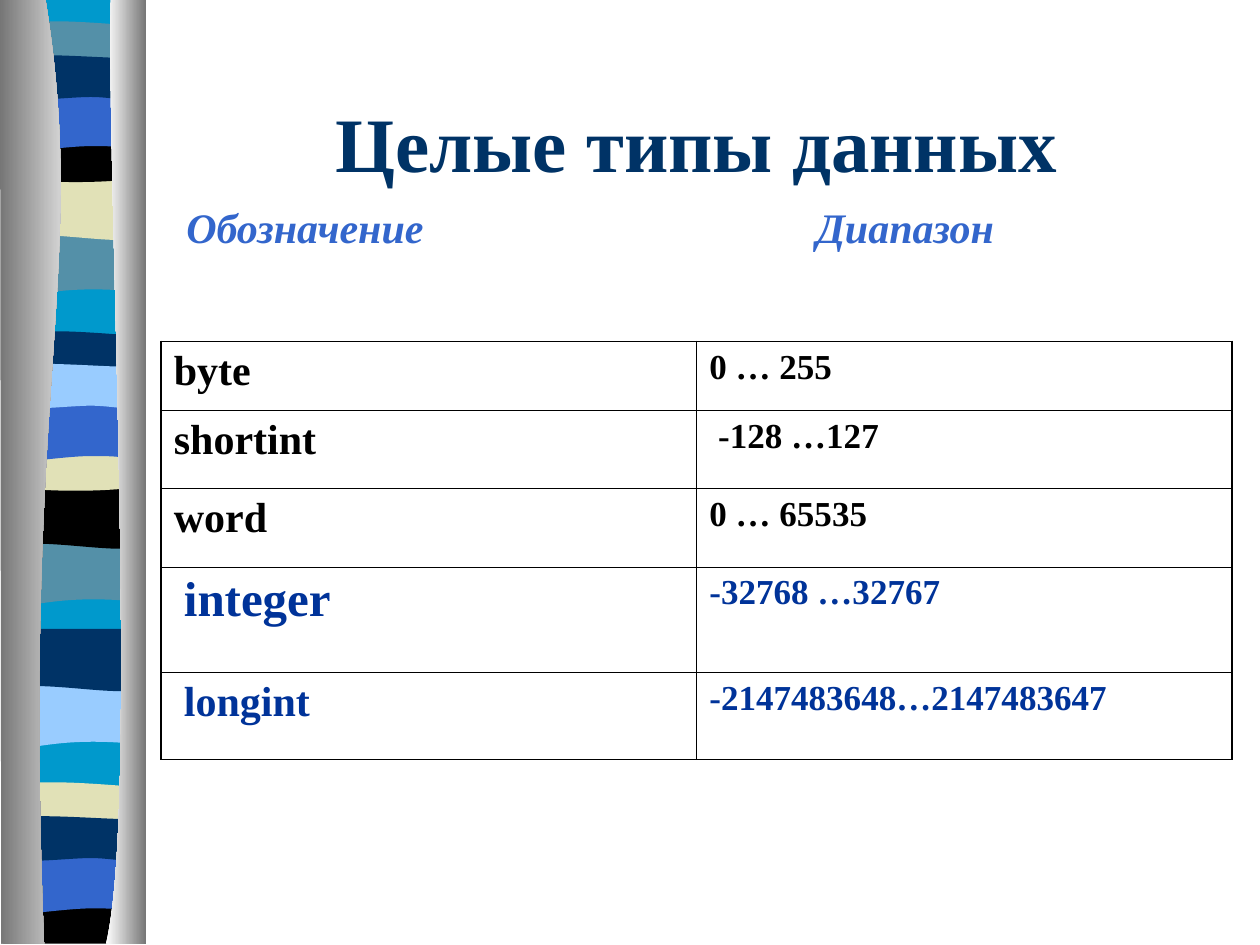
"""Build a slide on integer data types with a striped ribbon at its left edge."""
from dataclasses import dataclass

from lxml import etree
from pptx import Presentation
from pptx.dml.color import RGBColor
from pptx.enum.text import MSO_ANCHOR, MSO_AUTO_SIZE, PP_ALIGN
from pptx.oxml.ns import qn
from pptx.util import Inches, Pt

CENTER, LEFT = PP_ALIGN.CENTER, PP_ALIGN.LEFT
MIDDLE = MSO_ANCHOR.MIDDLE
NO_FIT = MSO_AUTO_SIZE.NONE


@dataclass(frozen=True)
class Theme:
    """Colours, type sizes and line widths."""

    font: str = "Times New Roman"
    navy: str = "003366"
    blue: str = "3366CC"
    accent: str = "003399"
    teal: str = "5490A8"
    cyan: str = "0099CC"
    sky: str = "99CCFF"
    sand: str = "E1E1B7"
    black: str = "000000"
    gray: str = "767676"
    white: str = "FFFFFF"
    title: int = 44
    large: int = 28
    body: int = 24
    small: int = 20
    inner_line: float = 0.45
    outer_line: float = 1.08


THEME = Theme()

BANDS = {
    "dip": [(1.14, 0), (1.14, 0.47), (0.39, 0.39, 0.24, 0.55, 0.06, 0.47), (0.06, 0)],
    "swell": [(1.14, 0), (1.14, 0.47), (0.96, 0.55, 0.39, 0.41, 0.06, 0.47), (0.06, 0)],
    "thin": [(1.14, 0), (1.14, 0.24), (0.96, 0.28, 0.24, 0.28, 0.06, 0.24), (0.06, 0),
             (0.12, -0.05, 0.29, -0.04, 0.47, -0.04), (0.65, -0.04, 1, -0.01, 1.14, 0)],
    "bowl": [(1.14, 0), (1.14, 0.32), (0.96, 0.38, 0.24, 0.38, 0.06, 0.32), (0.06, 0),
             (0.72, 0.05, 0.91, 0, 1.14, 0)],
    "arch": [(1.14, 0), (1.14, 0.47), (0.97, 0.42, 0.9, 0.42, 0.72, 0.42),
             (0.54, 0.42, 0.22, 0.47, 0.06, 0.47), (0.06, 0)],
    "wave": [(1.14, 0), (1.14, 0.31), (1.07, 0.36, 0.9, 0.31, 0.72, 0.31),
             (0.54, 0.31, 0.17, 0.36, 0.06, 0.31), (0.06, 0),
             (0.21, -0.05, 0.79, 0, 0.97, 0), (1.15, 0, 1.1, 0, 1.14, 0)],
    "foot": [(1.14, 0), (1.14, 0.37), (0.06, 0.37), (0.06, 0),
             (0.72, 0.05, 0.91, 0, 1.14, 0)],
    "base": [(1.14, 0), (1.14, 7.48), (0.06, 7.48), (0.06, 0)],
}
STRIPES = [
    ("base", -0.01, THEME.cyan),
    ("dip", 1.85, THEME.teal), ("swell", 1.41, THEME.sand), ("thin", 0.21, THEME.teal),
    ("bowl", 1.08, THEME.black), ("arch", 0.74, THEME.blue), ("wave", 0.46, THEME.navy),
    ("dip", 4.31, THEME.teal), ("swell", 3.86, THEME.black), ("thin", 2.67, THEME.navy),
    ("bowl", 3.53, THEME.sand), ("arch", 3.2, THEME.blue), ("wave", 2.91, THEME.sky),
    ("dip", 5.44, THEME.sky), ("swell", 4.99, THEME.navy), ("thin", 6.25, THEME.sand),
    ("foot", 7.12, THEME.black), ("arch", 6.79, THEME.blue), ("wave", 6.5, THEME.navy),
]
LEFT_EDGE = [(0.36, -0.01), (0.71, 2.16, 0.17, 2.96, 0.35, 7.49), (0.01, 7.49), (0, -0.01)]
RIGHT_EDGE = [(0.88, -0.01), (0.84, 1.25, 1.11, 6.46, 0.84, 7.49), (1.16, 7.49), (1.16, 0)]

ROWS = [
    (0.55, ("byte", THEME.body, 0.1), ("0 … 255", 0.1), THEME.black),
    (0.62, ("shortint", THEME.body, 0.1), ("-128 …127", 0.17), THEME.black),
    (0.62, ("word", THEME.body, 0.1), ("0 … 65535", 0.1), THEME.black),
    (0.84, ("integer", THEME.large, 0.18), ("-32768 …32767", 0.1), THEME.accent),
    (0.69, ("longint", THEME.body, 0.18), ("-2147483648…2147483647", 0.1), THEME.accent),
]


def write(tf, text, *, size, color, align=LEFT, italic=False, tab=None):
    """Put one formatted paragraph into a text frame."""
    p = tf.paragraphs[0]
    p.alignment = align
    if tab is not None:
        tabs = etree.SubElement(p._p.get_or_add_pPr(), qn("a:tabLst"))
        etree.SubElement(tabs, qn("a:tab"), pos=str(Inches(tab)), algn="l")
    r = p.add_run()
    r.text = text
    r.font.name = THEME.font
    r.font.size = Pt(size)
    r.font.bold = True
    r.font.italic = italic
    r.font.color.rgb = RGBColor.from_string(color)


def bend(sp, steps):
    """Join each triple of segments that belongs to a curve into one cubic segment."""
    segments = iter(list(sp._element.iter(qn("a:lnTo"))))
    for step in steps[1:]:
        first = next(segments)
        if len(step) == 2:
            continue
        first.tag = qn("a:cubicBezTo")
        for _ in range(2):
            extra = next(segments)
            first.append(extra[0])
            extra.getparent().remove(extra)


class Deck:
    """Hold the theme and the current slide."""

    def __init__(self, prs, theme):
        """Start on a new title-only slide."""
        self.theme = theme
        self.slide = prs.slides.add_slide(prs.slide_layouts[5])

    def outline(self, steps, *colors, top=0):
        """Draw a closed outline, with a gradient when two colours are given."""
        points = [(Inches(step[i]), Inches(top + step[i + 1]))
                  for step in steps for i in range(0, len(step), 2)]
        builder = self.slide.shapes.build_freeform(*points[0])
        builder.add_line_segments(points[1:], close=True)
        sp = builder.convert_to_shape()
        bend(sp, steps)
        sp.shadow.inherit = False
        sp.line.fill.background()
        if len(colors) == 1:
            sp.fill.solid()
            sp.fill.fore_color.rgb = RGBColor.from_string(colors[0])
            return
        sp.fill.gradient()
        sp.fill.gradient_angle = 0
        for stop, color, position in zip(sp.fill.gradient_stops, colors, (0, 1)):
            stop.color.rgb = RGBColor.from_string(color)
            stop.position = position

    def title(self, text, left, top, width, height):
        """Place and fill the title."""
        sp = self.slide.shapes.title
        sp.left, sp.top, sp.width, sp.height = map(Inches, (left, top, width, height))
        tf = sp.text_frame
        tf.word_wrap = True
        tf.auto_size = NO_FIT
        tf.vertical_anchor = MIDDLE
        write(tf, text, size=self.theme.title, color=self.theme.navy, align=CENTER)

    def text(self, text, left, top, width, height, **style):
        """Add a wrapped text box."""
        sp = self.slide.shapes.add_textbox(*map(Inches, (left, top, width, height)))
        sp.text_frame.word_wrap = True
        write(sp.text_frame, text, **style)

    def border(self, cell, side, width):
        """Add one black border to a cell."""
        ln = etree.SubElement(cell._tc.get_or_add_tcPr(), qn(f"a:ln{side}"), w=str(Pt(width)))
        fill = etree.SubElement(ln, qn("a:solidFill"))
        etree.SubElement(fill, qn("a:srgbClr"), val=self.theme.black)

    def table(self, rows, left, top, width):
        """Add the two-column table of types and ranges."""
        height = sum(row[0] for row in rows)
        frame = self.slide.shapes.add_table(
            len(rows), 2, *map(Inches, (left, top, width, height)))
        table = frame.table
        table.first_row = table.horz_banding = False
        last = len(rows) - 1
        for i, (row_height, (name, size, indent), (span, span_indent), color) in enumerate(rows):
            table.rows[i].height = Inches(row_height)
            entries = ((name, size, indent), (span, self.theme.small, span_indent))
            for j, (text, text_size, margin) in enumerate(entries):
                cell = table.cell(i, j)
                cell.margin_left = Inches(margin)
                edges = {"L": j == 0, "R": j == 1, "T": i == 0, "B": i == last}
                for side, outer in edges.items():
                    self.border(cell, side,
                                self.theme.outer_line if outer else self.theme.inner_line)
                cell.fill.background()
                write(cell.text_frame, text, size=text_size, color=color)


def main():
    """Build and save the slide."""
    prs = Presentation()
    prs.slide_width, prs.slide_height = Inches(10), Inches(7.5)
    deck = Deck(prs, THEME)
    for band, top, color in STRIPES:
        deck.outline(BANDS[band], color, top=top)
    deck.outline(LEFT_EDGE, THEME.gray, THEME.white)
    deck.outline(RIGHT_EDGE, THEME.white, THEME.gray)
    deck.title("Целые типы данных", 1.28, 0.5, 8.5, 1.25)
    deck.table(ROWS, 1.28, 2.71, 8.5)
    deck.text("Обозначение\tДиапазон", 1.38, 1.55, 8.19, 0.5,
              size=THEME.body, color=THEME.blue, italic=True, tab=5)
    prs.save("out.pptx")


if __name__ == "__main__":
    main()
